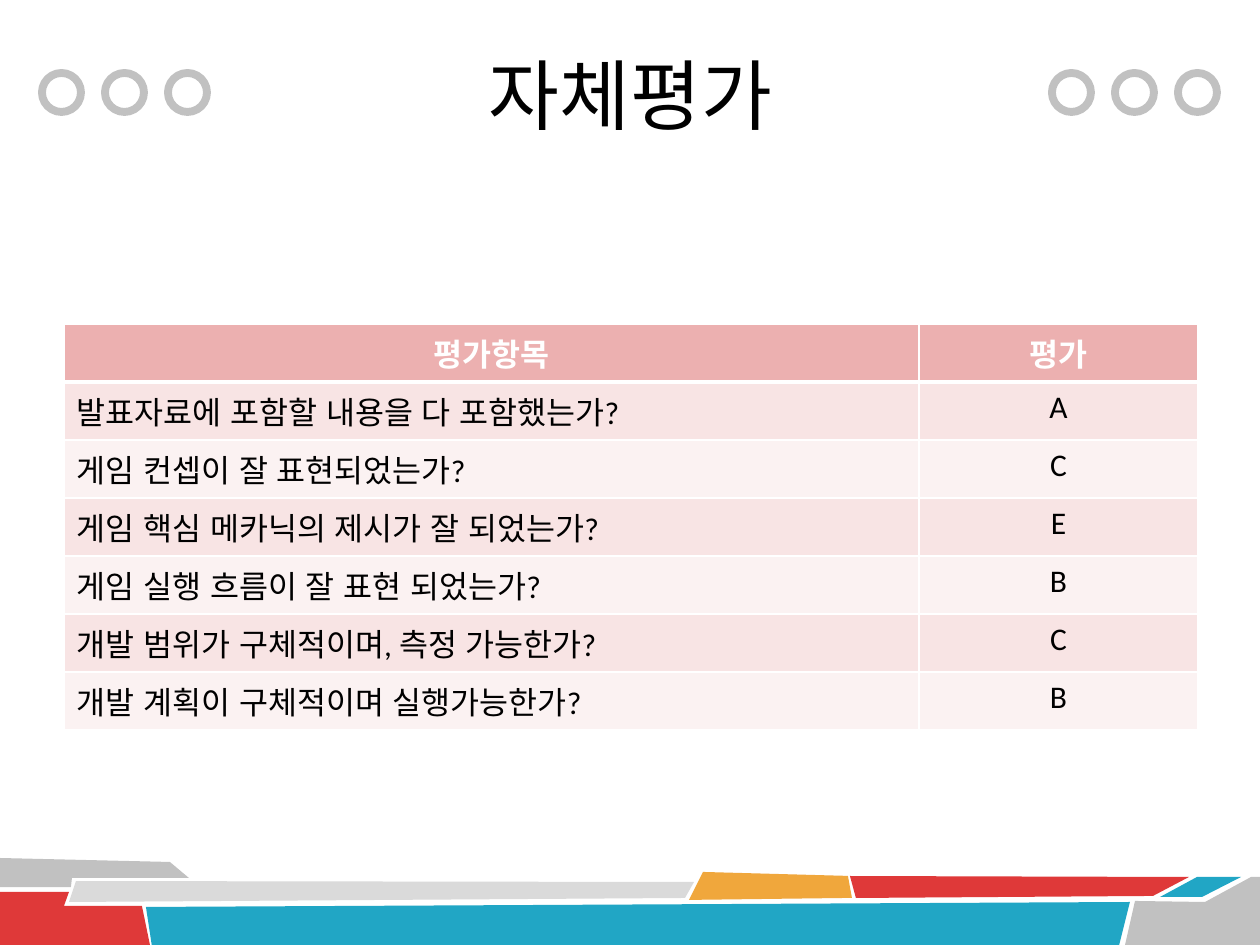
from lxml.etree import SubElement
from pptx import Presentation
from pptx.dml.color import RGBColor
from pptx.enum.lang import MSO_LANGUAGE_ID as Language
from pptx.enum.shapes import MSO_SHAPE as Shape
from pptx.enum.text import MSO_ANCHOR as Anchor, PP_ALIGN as Align
from pptx.oxml.ns import qn
from pptx.util import Emu, Pt

EMU_PER_PX = 914400 / 126

BLACK = RGBColor(0x00, 0x00, 0x00)
WHITE = RGBColor(0xFF, 0xFF, 0xFF)
GRAY = RGBColor(0xC1, 0xC1, 0xC1)
LIGHT_GRAY = RGBColor(0xDA, 0xDA, 0xDA)
RED = RGBColor(0xDF, 0x39, 0x39)
BLUE = RGBColor(0x21, 0xA6, 0xC5)
ORANGE = RGBColor(0xF0, 0xA7, 0x3C)
HEADER_PINK = RGBColor(0xEC, 0xB0, 0xB0)
ROW_PINKS = RGBColor(0xFB, 0xF2, 0xF2), RGBColor(0xF8, 0xE4, 0xE4)

TITLE = "자체평가"
ROWS = [
    ("평가항목", "평가"),
    ("발표자료에 포함할 내용을 다 포함했는가?", "A"),
    ("게임 컨셉이 잘 표현되었는가?", "C"),
    ("게임 핵심 메카닉의 제시가 잘 되었는가?", "E"),
    ("게임 실행 흐름이 잘 표현 되었는가?", "B"),
    ("개발 범위가 구체적이며, 측정 가능한가?", "C"),
    ("개발 계획이 구체적이며 실행가능한가?", "B"),
]
TABLE_LEFT, TABLE_TOP = 64, 324
COLUMN_WIDTHS = [855, 279]
ROW_HEIGHT = 58

FOOTER_PIECES = [
    (GRAY, [(0, 858), (170, 862), (189, 878), (72, 878), (71, 887), (0, 887)]),
    (RED, [(0, 892), (69, 892), (64, 906), (142, 906), (150, 945), (0, 945)]),
    (LIGHT_GRAY, [(76, 881), (694, 882), (685, 898), (69, 902)]),
    (BLUE, [(146, 907), (1130, 902), (1119, 946), (152, 946)]),
    (ORANGE, [(703, 872), (848, 876), (852, 898), (689, 900)]),
    (RED, [(850, 876), (1189, 877), (1153, 896), (856, 898)]),
    (BLUE, [(1197, 877), (1241, 877), (1202, 897), (1160, 897)]),
    (GRAY, [(1135, 901), (1205, 902), (1251, 877), (1260, 877),
            (1260, 945), (1125, 945)]),
]
RING_GROUP_LEFTS = [42, 1052]
RING_TOP, RING_SIZE, RING_STEP = 73, 39, 63

TITLE_FONT = {"name": "Calibri", "size": Pt(44),
              "language_id": Language.KOREAN}
HEADER_FONT = {**TITLE_FONT, "size": Pt(18), "bold": True}
BODY_FONT = {**HEADER_FONT, "bold": False}


def px(*lengths):
    return [Emu(round(length * EMU_PER_PX)) for length in lengths]


def write(frame, text, font, color, align):
    para = frame.paragraphs[0]
    para.alignment = align
    span = para.add_run()
    span.text = text
    for name, value in font.items():
        setattr(span.font, name, value)
    span.font.color.rgb = color


def add_footer(shapes):
    for color, points in FOOTER_PIECES:
        builder = shapes.build_freeform(*points[0], scale=EMU_PER_PX)
        builder.add_line_segments(points[1:], close=True)
        piece = builder.convert_to_shape()
        piece.shadow.inherit = False
        piece.fill.solid()
        piece.fill.fore_color.rgb = color
        piece.line.fill.background()


def add_rings(shapes):
    for group_left in RING_GROUP_LEFTS:
        for index in range(3):
            left = group_left + index * RING_STEP
            ring = shapes.add_shape(
                Shape.OVAL, *px(left, RING_TOP, RING_SIZE, RING_SIZE))
            ring.shadow.inherit = False
            ring.fill.background()
            ring.line.color.rgb = GRAY
            ring.line.width = Pt(4.5)


def add_title(shapes):
    box = shapes.add_textbox(*px(221, 15, 819, 158))
    frame = box.text_frame
    frame.word_wrap = True
    frame.vertical_anchor = Anchor.MIDDLE
    write(frame, TITLE, TITLE_FONT, BLACK, Align.CENTER)


def set_borders(cell, widths):
    """Draw white borders; widths maps a side (L, R, T, B) to points.

    Called before the fill is set, since borders precede it in the XML.
    """
    properties = cell._tc.get_or_add_tcPr()
    for side, width in widths.items():
        border = SubElement(properties, qn(f"a:ln{side}"), w=str(Pt(width)))
        fill = SubElement(border, qn("a:solidFill"))
        SubElement(fill, qn("a:srgbClr"), val=str(WHITE))


def add_ratings(shapes):
    table = shapes.add_table(
        len(ROWS), len(COLUMN_WIDTHS),
        *px(TABLE_LEFT, TABLE_TOP, sum(COLUMN_WIDTHS),
            ROW_HEIGHT * len(ROWS))).table
    for column, width in zip(table.columns, px(*COLUMN_WIDTHS)):
        column.width = width
    for row_index, texts in enumerate(ROWS):
        table.rows[row_index].height = px(ROW_HEIGHT)[0]
        header = row_index == 0
        for column_index, text in enumerate(texts):
            cell = table.cell(row_index, column_index)
            set_borders(cell, {"L": 1, "R": 1, "T": 3 if row_index == 1 else 1,
                               "B": 3 if header else 1})
            cell.fill.solid()
            cell.fill.fore_color.rgb = (
                HEADER_PINK if header else ROW_PINKS[row_index % 2])
            cell.vertical_anchor = Anchor.MIDDLE if header else Anchor.TOP
            centred = header or column_index == 1
            write(cell.text_frame, text,
                  HEADER_FONT if header else BODY_FONT,
                  WHITE if header else BLACK,
                  Align.CENTER if centred else Align.LEFT)


def main():
    deck = Presentation()
    deck.slide_width, deck.slide_height = px(1260, 945)
    page = deck.slides.add_slide(deck.slide_layouts[6])
    add_footer(page.shapes)
    add_rings(page.shapes)
    add_title(page.shapes)
    add_ratings(page.shapes)
    deck.save("out.pptx")


if __name__ == "__main__":
    main()
